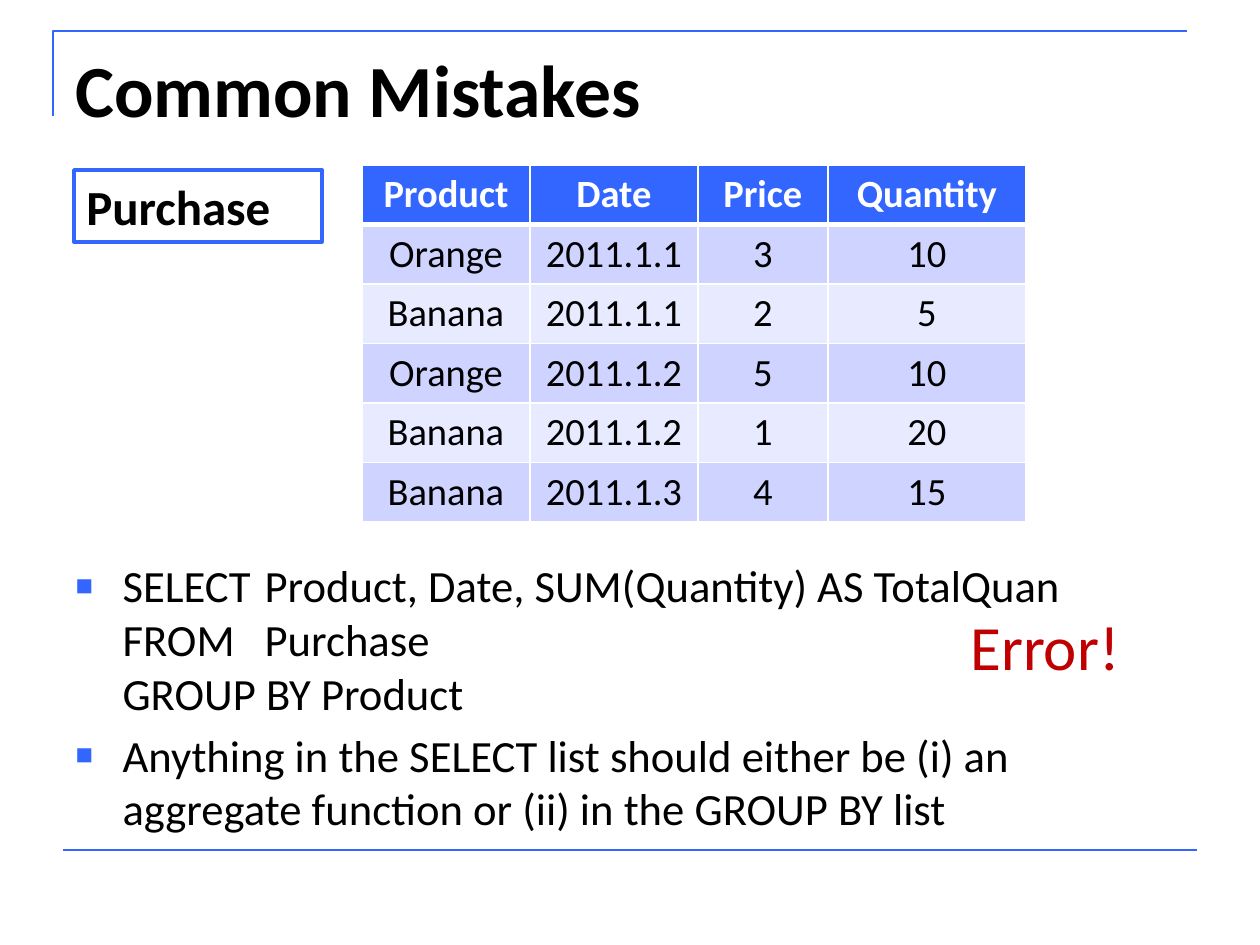
from lxml import etree
from pptx import Presentation
from pptx.dml.color import RGBColor
from pptx.enum.shapes import MSO_CONNECTOR, MSO_SHAPE
from pptx.enum.text import MSO_ANCHOR, MSO_AUTO_SIZE, PP_ALIGN
from pptx.oxml.ns import qn
from pptx.util import Pt

STRAIGHT = MSO_CONNECTOR.STRAIGHT
RECTANGLE = MSO_SHAPE.RECTANGLE
TOP = MSO_ANCHOR.TOP
NO_AUTOFIT = MSO_AUTO_SIZE.NONE
LEFT, CENTER = PP_ALIGN.LEFT, PP_ALIGN.CENTER

EMU_PER_PX = 914400 / 126
BLUE, WHITE, BLACK, RED = "3366FF", "FFFFFF", "000000", "C00000"
BAND_DARK, BAND_LIGHT = "CED3FF", "E8EAFF"

PURCHASES = [
    ("Product", "Date", "Price", "Quantity"),
    ("Orange", "2011.1.1", "3", "10"),
    ("Banana", "2011.1.1", "2", "5"),
    ("Orange", "2011.1.2", "5", "10"),
    ("Banana", "2011.1.2", "1", "20"),
    ("Banana", "2011.1.3", "4", "15"),
]
COLUMN_WIDTHS = (168, 168, 130, 198)
POINTS = [
    "SELECT\tProduct, Date, SUM(Quantity) AS TotalQuan\v"
    "FROM\tPurchase\vGROUP BY Product",
    "Anything in the SELECT list should either be (i) an "
    "aggregate function or (ii) in the GROUP BY list",
]


def px(length):
    return round(length * EMU_PER_PX)


def color(value):
    return RGBColor.from_string(value)


def set_attributes(target, values):
    for name, value in values.items():
        setattr(target, name, value)


def place(shape, box):
    names = ("left", "top", "width", "height")
    set_attributes(shape, dict(zip(names, map(px, box))))


def format_font(paragraph, size, font_color, bold=False):
    set_attributes(paragraph.font, {"name": "Calibri", "size": Pt(size), "bold": bold})
    paragraph.font.color.rgb = color(font_color)


def format_line(shape, width):
    shape.line.color.rgb = color(BLUE)
    shape.line.width = Pt(width)


def add_frame(slide, box):
    left, top, width, height = box
    builder = slide.shapes.build_freeform(left, top + 85, scale=EMU_PER_PX)
    builder.add_line_segments([(left, top), (left + width - 10, top)], close=False)
    corner = builder.convert_to_shape()
    corner.fill.background()
    corner.shadow.inherit = False
    format_line(corner, 1.5)

    bottom = px(top + height)
    rule = slide.shapes.add_connector(
        STRAIGHT, px(left + 10), bottom, px(left + width), bottom)
    format_line(rule, 1.5)
    etree.SubElement(rule._element.spPr, qn("a:effectLst"))


def fill_title(slide, box):
    title = slide.shapes.title
    place(title, box)
    title.text = "Common Mistakes"
    set_attributes(title.text_frame, {"vertical_anchor": TOP, "auto_size": NO_AUTOFIT})
    paragraph = title.text_frame.paragraphs[0]
    paragraph.alignment = LEFT
    format_font(paragraph, 42, BLACK, True)


def add_bullet(paragraph):
    properties = paragraph._p.get_or_add_pPr()
    properties.set("marL", str(px(47)))
    properties.set("indent", str(px(-47)))
    bullet_color = etree.SubElement(properties, qn("a:buClr"))
    etree.SubElement(bullet_color, qn("a:srgbClr"), val=BLUE)
    etree.SubElement(properties, qn("a:buSzPct"), val="65000")
    etree.SubElement(properties, qn("a:buFont"), typeface="Arial")
    etree.SubElement(properties, qn("a:buChar"), char="■")


def fill_body(slide, box):
    body = slide.placeholders[1]
    place(body, box)
    frame = body.text_frame
    set_attributes(frame, {"vertical_anchor": TOP, "auto_size": NO_AUTOFIT})
    for index, text in enumerate(POINTS):
        paragraph = frame.add_paragraph() if index else frame.paragraphs[0]
        paragraph.text = text
        add_bullet(paragraph)
        paragraph.space_before = Pt(5 if index else 0)
        format_font(paragraph, 25.5, BLACK)


def add_borders(cell, bottom_width):
    properties = cell._tc.get_or_add_tcPr()
    widths = {"lnL": 1, "lnR": 1, "lnT": 1, "lnB": bottom_width}
    for side, width in widths.items():
        border = etree.SubElement(properties, qn(f"a:{side}"), w=str(Pt(width)))
        fill = etree.SubElement(border, qn("a:solidFill"))
        etree.SubElement(fill, qn("a:srgbClr"), val=WHITE)


def add_purchase_table(slide, box):
    table = slide.shapes.add_table(
        len(PURCHASES), len(COLUMN_WIDTHS), *map(px, box)).table
    for column, width in zip(table.columns, COLUMN_WIDTHS):
        column.width = px(width)
    for row, values in enumerate(PURCHASES):
        header = row == 0
        band = BLUE if header else (BAND_LIGHT, BAND_DARK)[row % 2]
        for column, text in enumerate(values):
            cell = table.cell(row, column)
            cell.text = text
            add_borders(cell, 3 if header else 1)
            cell.fill.solid()
            cell.fill.fore_color.rgb = color(band)
            paragraph = cell.text_frame.paragraphs[0]
            paragraph.alignment = CENTER
            format_font(paragraph, 22, WHITE if header else BLACK, header)


def add_table_name(slide, box):
    shape = slide.shapes.add_shape(RECTANGLE, *map(px, box))
    shape.shadow.inherit = False
    shape.fill.background()
    format_line(shape, 2)
    shape.text = "Purchase"
    shape.text_frame.vertical_anchor = TOP
    paragraph = shape.text_frame.paragraphs[0]
    paragraph.alignment = LEFT
    format_font(paragraph, 28, BLACK, True)


def add_error_label(slide, box):
    label = slide.shapes.add_textbox(*map(px, box))
    label.text_frame.word_wrap = False
    label.text_frame.text = "Error!"
    format_font(label.text_frame.paragraphs[0], 36, RED)


def main():
    presentation = Presentation()
    set_attributes(presentation, {"slide_width": px(1260), "slide_height": px(945)})
    slide = presentation.slides.add_slide(presentation.slide_layouts[1])
    add_frame(slide, (53, 31, 1144, 819))
    fill_title(slide, (63, 38, 1134, 158))
    fill_body(slide, (63, 552, 1134, 297))
    add_purchase_table(slide, (362, 165, sum(COLUMN_WIDTHS), 354))
    add_table_name(slide, (74, 170, 248, 72))
    add_error_label(slide, (958, 601, 176, 89))
    presentation.save("out.pptx")


if __name__ == "__main__":
    main()
